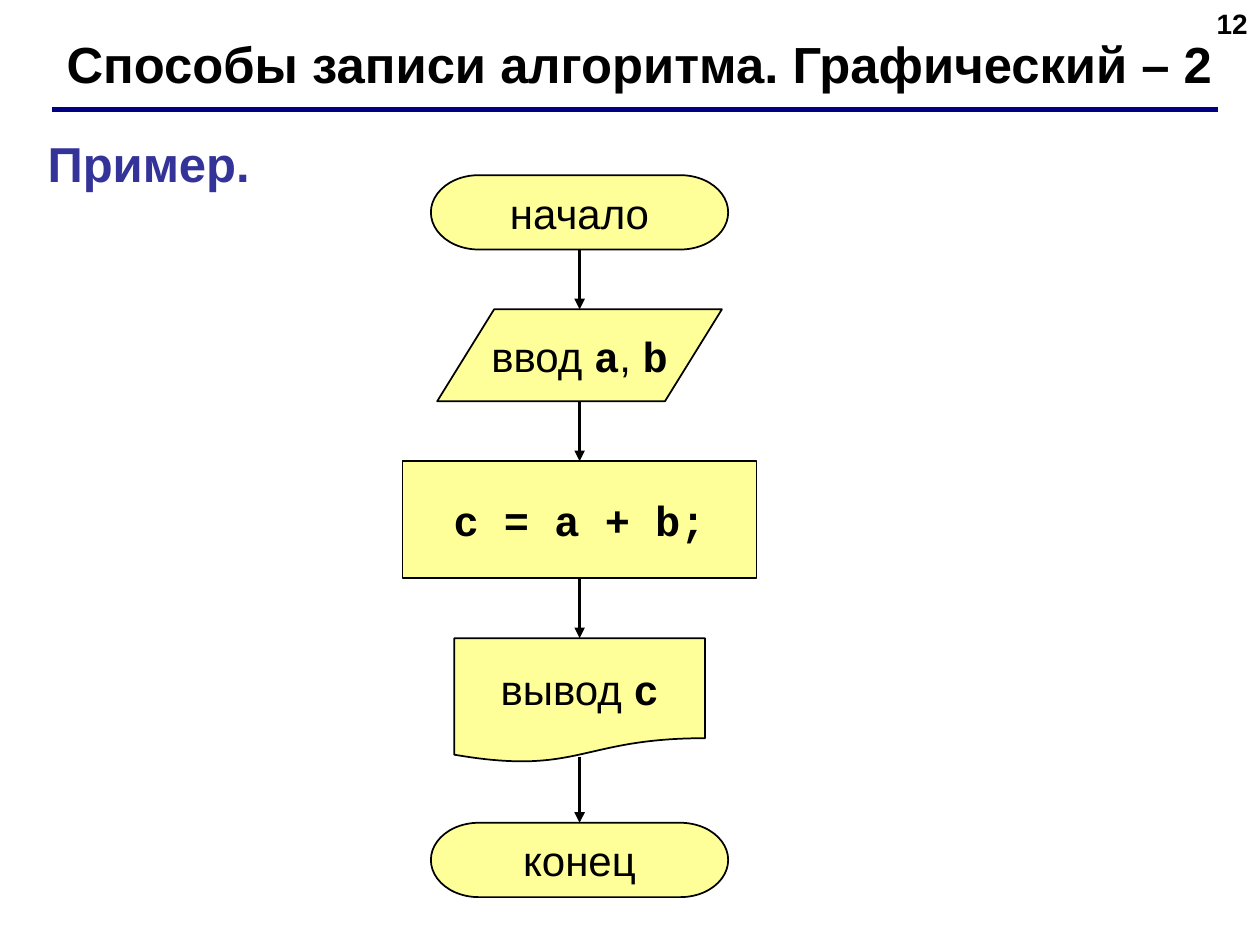
"""Build the flowchart slide on the graphical notation of algorithms."""
from dataclasses import dataclass

from lxml import etree
from pptx import Presentation
from pptx import util as u
from pptx.dml.color import RGBColor
from pptx.enum import shapes, text
from pptx.oxml.ns import qn

COLUMNS, ROWS = 100, 75
CELL = u.Inches(0.1)
AXIS, FLOW_TOP, GAP = 46, 13.9, 4.75


@dataclass(frozen=True)
class Theme:
    black: str = "000000"
    navy: str = "000080"
    indigo: str = "333399"
    yellow: str = "FFFF99"
    body: str = "Arial"
    code: str = "Courier New"
    number_size: float = 16
    title_size: float = 29
    heading_size: float = 28
    step_size: float = 24


@dataclass(frozen=True)
class Label:
    words: str
    left: float
    top: float
    width: float
    height: float
    size: float
    color: str
    align: text.PP_ALIGN = text.PP_ALIGN.LEFT


@dataclass(frozen=True)
class Span:
    words: str
    is_code: bool = False


@dataclass(frozen=True)
class Step:
    outline: shapes.MSO_SHAPE
    width: float
    height: float
    spans: tuple[Span, ...]
    exit_inset: float = 0


THEME = Theme()
OUTLINE = shapes.MSO_SHAPE

LABELS = (
    Label("12", 76.7, 0, 23.3, 5.2, THEME.number_size, THEME.black, text.PP_ALIGN.RIGHT),
    Label("Способы записи алгоритма. Графический – 2", 4.3, 2.1, 95.7, 5.9,
          THEME.title_size, THEME.black),
    Label("Пример.", 2.8, 10.1, 94.5, 5.7, THEME.heading_size, THEME.indigo),
)

STEPS = (
    Step(OUTLINE.FLOWCHART_TERMINATOR, 23.6, 5.9, (Span("начало"),)),
    Step(OUTLINE.FLOWCHART_DATA, 22.6, 7.3,
         (Span("ввод "), Span("a", True), Span(", "), Span("b", True))),
    Step(OUTLINE.RECTANGLE, 28.1, 9.3, (Span("c = a + b;", True),)),
    Step(OUTLINE.FLOWCHART_DOCUMENT, 19.9, 9.9,
         (Span("вывод "), Span("c", True)), exit_inset=0.5),
    Step(OUTLINE.FLOWCHART_TERMINATOR, 23.6, 5.9, (Span("конец"),)),
)


def cells(*counts: float) -> list[int]:
    """Convert counts of grid cells to lengths."""
    return [round(count * CELL) for count in counts]


def set_font(font, size: float, color: str, name: str, bold: bool) -> None:
    """Set size, colour, typeface and weight of a font."""
    font.size, font.name, font.bold = u.Pt(size), name, bold
    font.color.rgb = RGBColor.from_string(color)


def add_label(page, label: Label) -> None:
    """Add a bold line of text."""
    box = page.shapes.add_textbox(*cells(label.left, label.top, label.width, label.height))
    box.text_frame.word_wrap = True
    para = box.text_frame.paragraphs[0]
    para.text, para.alignment = label.words, label.align
    set_font(para.font, label.size, label.color, THEME.body, True)


def add_line(page, start: tuple, end: tuple, color: str, width: float, arrow: bool = False):
    """Add a straight line without a shadow and with an optional arrowhead."""
    line = page.shapes.add_connector(shapes.MSO_CONNECTOR.STRAIGHT, *cells(*start, *end))
    line.line.width = u.Pt(width)
    line.line.color.rgb = RGBColor.from_string(color)
    if arrow:
        etree.SubElement(line.line._get_or_add_ln(), qn("a:tailEnd"), type="triangle")
    etree.SubElement(line._element.spPr, qn("a:effectLst"))
    return line


def add_step(page, step: Step, top: float):
    """Add a flowchart block centred on the axis."""
    box = page.shapes.add_shape(
        step.outline, *cells(AXIS - step.width / 2, top, step.width, step.height))
    box.shadow.inherit = False
    box.fill.solid()
    box.fill.fore_color.rgb = RGBColor.from_string(THEME.yellow)
    box.line.color.rgb = RGBColor.from_string(THEME.black)
    box.line.width = u.Pt(1)
    frame = box.text_frame
    frame.word_wrap = False
    frame.vertical_anchor = text.MSO_ANCHOR.MIDDLE
    para = frame.paragraphs[0]
    para.alignment = text.PP_ALIGN.CENTER
    for span in step.spans:
        run = para.add_run()
        run.text = span.words
        if len(step.spans) > 1:
            run.font.name = THEME.code if span.is_code else THEME.body
            run.font.bold = span.is_code
    first = step.spans[0]
    set_font(para.font, THEME.step_size, THEME.black,
             THEME.code if first.is_code else THEME.body, first.is_code)
    return box


def add_flow(page, steps: tuple[Step, ...]) -> None:
    """Stack the blocks at equal gaps and link them with arrows."""
    top, previous, source = FLOW_TOP, None, None
    for step in steps:
        box = add_step(page, step, top)
        if previous is not None:
            start = top - GAP - previous.exit_inset
            arrow = add_line(page, (AXIS, start), (AXIS, top), THEME.black, 2, arrow=True)
            if previous.outline == OUTLINE.RECTANGLE:
                arrow.begin_connect(source, 2)
            if step.outline == OUTLINE.RECTANGLE:
                arrow.end_connect(box, 0)
        previous, source = step, box
        top += step.height + GAP


def main() -> None:
    """Build and save the deck."""
    deck = Presentation()
    deck.slide_width, deck.slide_height = cells(COLUMNS, ROWS)
    page = deck.slides.add_slide(deck.slide_layouts[6])
    add_line(page, (4.1, 8.7), (96.7, 8.7), THEME.navy, 3)
    for label in LABELS:
        add_label(page, label)
    add_flow(page, STEPS)
    deck.save("out.pptx")


if __name__ == "__main__":
    main()
